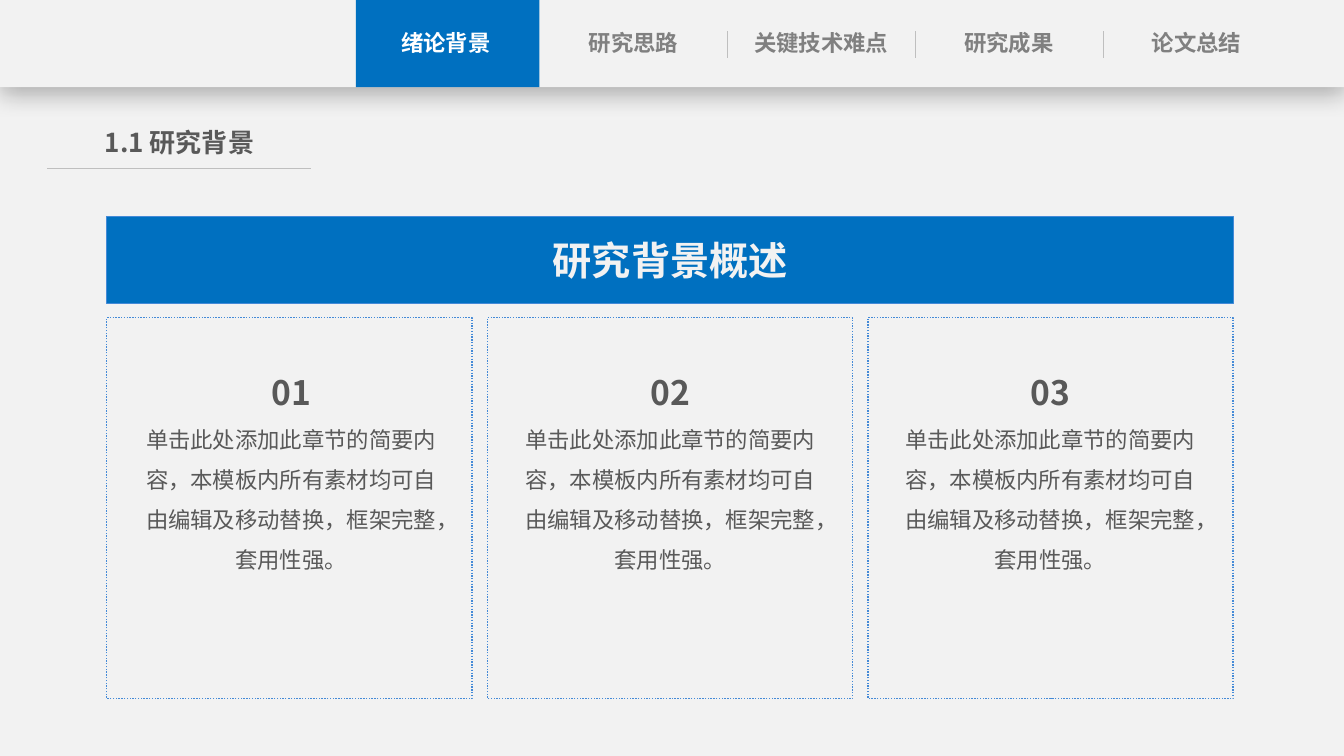
import pptx
import pptx.util
import pptx.dml.color
import pptx.enum.dml
import pptx.enum.shapes
import pptx.enum.text
import pptx.oxml.ns
import lxml.etree

Pt = pptx.util.Pt
FONT = "Noto Sans CJK SC"
BLUE, EDGE, PALE, GREY, DARK, RULE = "0070C0", "448AD7", "F2F2F2", "808080", "595959", "BFBFBF"

TABS = ["绪论背景", "研究思路", "关键技术难点", "研究成果", "论文总结"]
TAB_PITCH = 134
CARD_PITCH = 271.9
CARD_BODY = "单击此处添加此章节的简要内容，本模板内所有素材均可自由编辑及移动替换，框架完整，套用性强。"
# Number and left edge of the text in each card
CARDS = [("01", 98.6), ("02", 369.4), ("03", 640.8)]


def color(value):
    return pptx.dml.color.RGBColor.from_string(value)


def add_element(parent, tag, **attributes):
    element = lxml.etree.SubElement(parent, pptx.oxml.ns.qn(tag))
    for name, value in attributes.items():
        element.set(name, str(value))
    return element


def add_rectangle(slide, left, top, width, height, fill=None, line=None, dash=None):
    box = slide.shapes.add_shape(pptx.enum.shapes.MSO_SHAPE.RECTANGLE,
                                 Pt(left), Pt(top), Pt(width), Pt(height))
    box.shadow.inherit = False
    if fill:
        box.fill.solid()
        box.fill.fore_color.rgb = color(fill)
    else:
        box.fill.background()
    if line:
        box.line.color.rgb = color(line)
        box.line.width = Pt(1)
        if dash:
            box.line.dash_style = dash
    else:
        box.line.fill.background()
    return box


def add_shadow(box):
    effects = box._element.spPr.find(pptx.oxml.ns.qn("a:effectLst"))
    shadow = add_element(effects, "a:outerShdw", blurRad=Pt(18), dist=Pt(4),
                         dir=90 * 60000, algn="t", rotWithShape=0)
    shade = add_element(shadow, "a:srgbClr", val="000000")
    add_element(shade, "a:alpha", val=29000)


def add_rule(slide, x1, y1, x2, y2):
    rule = slide.shapes.add_connector(pptx.enum.shapes.MSO_CONNECTOR.STRAIGHT,
                                      Pt(x1), Pt(y1), Pt(x2), Pt(y2))
    rule.line.color.rgb = color(RULE)
    rule.line.width = Pt(0.5)
    add_element(rule._element.spPr, "a:effectLst")


def write_para(para, text, size, ink, bold=True, spacing=None):
    para.alignment = pptx.enum.text.PP_ALIGN.CENTER
    if spacing:
        para.line_spacing = spacing
    span = para.add_run()
    span.text = text
    span.font.size = Pt(size)
    span.font.bold = bold
    span.font.color.rgb = color(ink)
    span.font.name = FONT
    add_element(span._r.get_or_add_rPr(), "a:ea", typeface=FONT)


def add_text_frame(slide, left, top, width, height, inset=3.6):
    box = slide.shapes.add_textbox(Pt(left), Pt(top), Pt(width), Pt(height))
    frame = box.text_frame
    frame.word_wrap = True
    frame.auto_size = pptx.enum.text.MSO_AUTO_SIZE.SHAPE_TO_FIT_TEXT
    frame.margin_left = frame.margin_right = 0
    frame.margin_top = frame.margin_bottom = Pt(inset)
    return frame


def add_navigation(slide):
    add_shadow(add_rectangle(slide, 0, 0, 960, 62.3, PALE))
    add_rectangle(slide, 254.2, 0, 131.2, 62.3, BLUE)
    for index, label in enumerate(TABS):
        frame = add_text_frame(slide, 265.7 + index * TAB_PITCH, 17.2, 105.8, 27.3)
        write_para(frame.paragraphs[0], label, 16, GREY if index else "FFFFFF")
        # Dividers stand between the inactive tabs
        if index >= 2:
            x = 519.8 + (index - 2) * TAB_PITCH
            add_rule(slide, x, 22.2, x, 41.6)


def add_heading(slide, text):
    frame = add_text_frame(slide, 64.1, 87.1, 128.2, 30.2)
    write_para(frame.paragraphs[0], text, 18.6, DARK)
    add_rule(slide, 33.8, 120.2, 222.3, 120.2)


def add_banner(slide, text):
    banner = add_rectangle(slide, 76.2, 154.8, 805, 61.9, BLUE, EDGE)
    banner.text_frame.vertical_anchor = pptx.enum.text.MSO_ANCHOR.MIDDLE
    write_para(banner.text_frame.paragraphs[0], text, 28, PALE)


def add_cards(slide):
    for index, (number, text_left) in enumerate(CARDS):
        add_rectangle(slide, 76.2 + index * CARD_PITCH, 227, 260.9, 272, line=EDGE,
                      dash=pptx.enum.dml.MSO_LINE.ROUND_DOT)
        frame = add_text_frame(slide, text_left, 251.3, 218.9, 159.8, inset=0)
        write_para(frame.paragraphs[0], number, 24, DARK, spacing=1.5)
        write_para(frame.add_paragraph(), CARD_BODY, 16, DARK, bold=False, spacing=1.5)


def main():
    deck = pptx.Presentation()
    deck.slide_width, deck.slide_height = Pt(960), Pt(540)
    page = deck.slides.add_slide(deck.slide_layouts[6])
    page.background.fill.solid()
    page.background.fill.fore_color.rgb = color(PALE)

    add_navigation(page)
    add_heading(page, "1.1 研究背景")
    add_banner(page, "研究背景概述")
    add_cards(page)
    deck.save("out.pptx")


if __name__ == "__main__":
    main()
